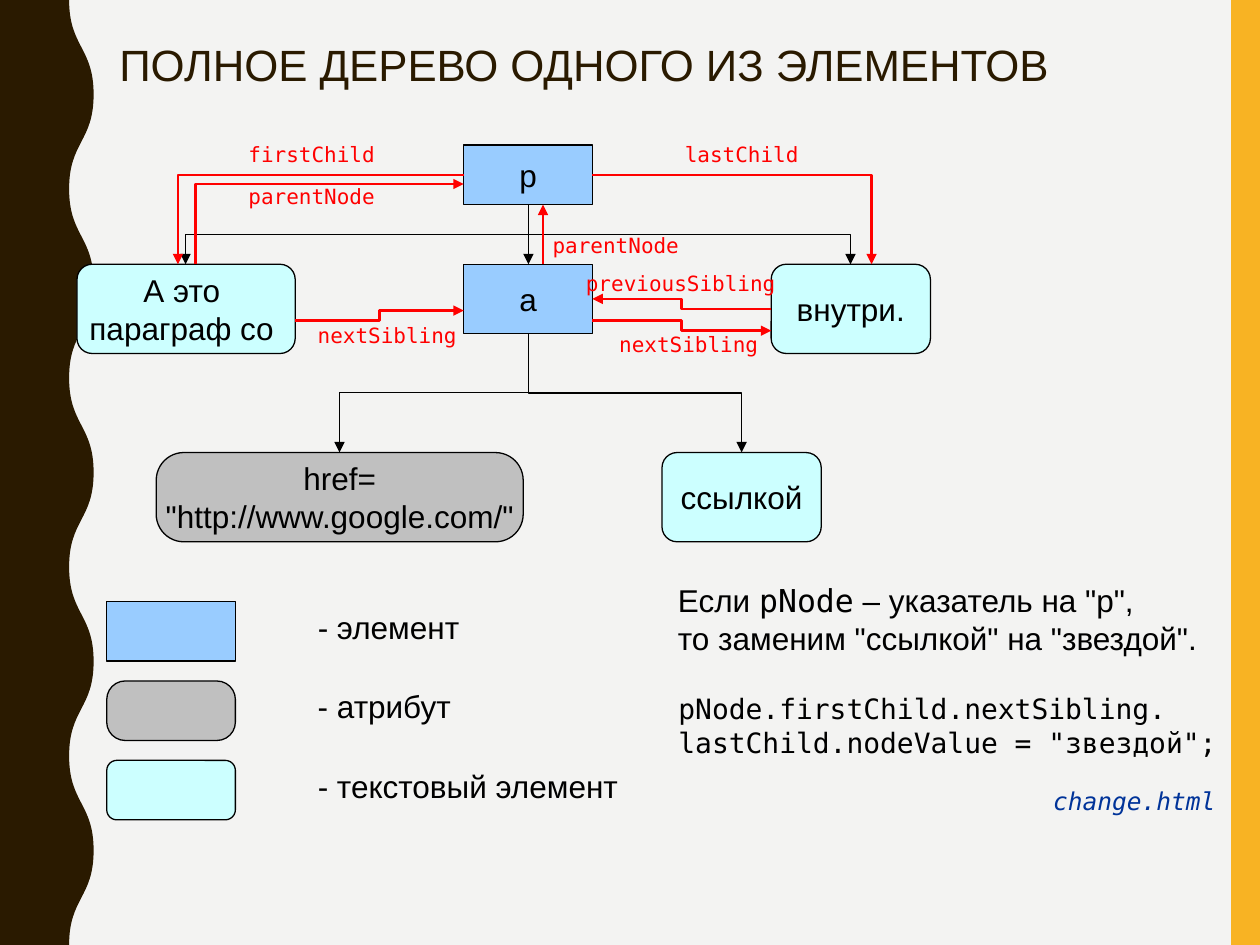
from dataclasses import dataclass

from lxml.etree import SubElement
from pptx import Presentation
from pptx.dml.color import RGBColor
from pptx.enum.shapes import MSO_CONNECTOR, MSO_SHAPE
from pptx.enum.text import MSO_ANCHOR, MSO_AUTO_SIZE, PP_ALIGN
from pptx.oxml.ns import qn
from pptx.util import Pt


@dataclass(frozen=True)
class Theme:
    background: str = "F3F3F2"
    dark: str = "2A1A00"
    accent: str = "F8B323"
    element: str = "99CCFF"
    attribute: str = "C0C0C0"
    text_node: str = "CCFFFF"
    ink: str = "000000"
    link: str = "FF0000"
    file: str = "003399"
    sans: str = "Arial"
    mono: str = "DejaVu Sans Mono"
    title_size: int = 25
    body_size: int = 18
    code_size: int = 16
    file_size: int = 14
    label_size: int = 12


THEME = Theme()
ROUNDING = {THEME.element: None, THEME.attribute: 0.31, THEME.text_node: 0.17}
BOX_WIDTH, BOX_HEIGHT = 73.5, 34


def set_fill(sp, color):
    sp.fill.solid()
    sp.fill.fore_color.rgb = RGBColor.from_string(color)


def set_font(font, size, color=THEME.ink, name=THEME.sans):
    font.name = name
    font.size = Pt(size)
    font.color.rgb = RGBColor.from_string(color)


def add_side_bar(s):
    sp = s.shapes.add_shape(MSO_SHAPE.RECTANGLE, Pt(703.5), 0, Pt(16.5), Pt(540))
    sp.shadow.inherit = False
    set_fill(sp, THEME.accent)
    sp.line.fill.background()


def add_wave(s):
    """Dark left band whose right edge swings between two x values."""
    inner, outer, half_wave, count = 39.5, 53.5, 54, 10
    xs = [outer if i % 2 else inner for i in range(count + 1)]
    builder = s.shapes.build_freeform(Pt(inner), 0)
    edge = [(Pt(x), Pt(half_wave * i)) for i, x in enumerate(xs)]
    builder.add_line_segments([*edge[1:], (0, Pt(540)), (0, 0)])
    sp = builder.convert_to_shape()
    segments = list(sp._element.spPr.iter(qn("a:lnTo")))[:count]
    for i, segment in enumerate(segments):
        middle = Pt(half_wave * (i + 0.5))
        segment.addprevious(curve_to((edge[i][0], middle), (edge[i + 1][0], middle),
                                     edge[i + 1], segment))
        segment.getparent().remove(segment)
    sp.shadow.inherit = False
    set_fill(sp, THEME.dark)
    sp.line.fill.background()


def curve_to(control_1, control_2, end, sibling):
    curve = SubElement(sibling.getparent(), qn("a:cubicBezTo"))
    for x, y in (control_1, control_2, end):
        SubElement(curve, qn("a:pt"), x=str(int(x)), y=str(int(y)))
    return curve


def add_title(s, text):
    sp = s.shapes.title
    sp.left, sp.top, sp.width, sp.height = Pt(61), Pt(21.3), Pt(648), Pt(44)
    tf = sp.text_frame
    tf.text = text
    tf.auto_size = MSO_AUTO_SIZE.NONE
    tf.vertical_anchor = MSO_ANCHOR.TOP
    p = tf.paragraphs[0]
    p.alignment = PP_ALIGN.LEFT
    p.line_spacing = 0.9
    set_font(p.font, THEME.title_size, THEME.dark)


def add_node(s, color, x, y, width=BOX_WIDTH, height=BOX_HEIGHT, text=""):
    """Box whose outline follows from the kind of node its colour stands for."""
    rounding = ROUNDING[color]
    kind = MSO_SHAPE.ROUNDED_RECTANGLE if rounding else MSO_SHAPE.RECTANGLE
    sp = s.shapes.add_shape(kind, Pt(x), Pt(y), Pt(width), Pt(height))
    if rounding:
        sp.adjustments[0] = rounding
    sp.shadow.inherit = False
    set_fill(sp, color)
    sp.line.color.rgb = RGBColor.from_string(THEME.ink)
    sp.line.width = Pt(0.75)
    if text:
        tf = sp.text_frame
        tf.word_wrap = False
        tf.vertical_anchor = MSO_ANCHOR.MIDDLE
        p = tf.paragraphs[0]
        p.text = text
        p.alignment = PP_ALIGN.CENTER
        set_font(p.font, THEME.body_size)


def add_text(s, x, y, width, height, text, size, color=THEME.ink, name=THEME.sans):
    sp = s.shapes.add_textbox(Pt(x), Pt(y), Pt(width), Pt(height))
    sp.text_frame.word_wrap = False
    p = sp.text_frame.paragraphs[0]
    p.text = text
    set_font(p.font, size, color, name)
    return p


def add_label(s, x, y, text):
    width = 14.4 + 7.22 * len(text)
    add_text(s, x, y, width, 21.5, text, THEME.label_size, THEME.link, THEME.mono)


def add_arrow(s, start, end, color=THEME.ink, width=0.75, preset="line", upright=False):
    """Arrow from start to end; an upright one leaves its start vertically."""
    (x1, y1), (x2, y2) = start, end
    if upright:
        cx, cy = (x1 + x2) / 2, (y1 + y2) / 2
        x1, y1, x2, y2 = cx + y1 - cy, cy - x1 + cx, cx + y2 - cy, cy - x2 + cx
    kind = MSO_CONNECTOR.STRAIGHT if preset == "line" else MSO_CONNECTOR.ELBOW
    line = s.shapes.add_connector(kind, Pt(x1), Pt(y1), Pt(x2), Pt(y2))
    line.line.color.rgb = RGBColor.from_string(color)
    line.line.width = Pt(width)
    sp_pr = line._element.spPr
    sp_pr.find(qn("a:prstGeom")).set("prst", preset)
    if upright:
        sp_pr.find(qn("a:xfrm")).set("rot", str(90 * 60000))
    SubElement(sp_pr.find(qn("a:ln")), qn("a:tailEnd"), type="triangle")
    SubElement(sp_pr, qn("a:effectLst"))


def add_tree(s):
    nodes = [
        (THEME.element, 265, 82.8, BOX_WIDTH, BOX_HEIGHT, "p"),
        (THEME.element, 265, 151, BOX_WIDTH, 39.5, "a"),
        (THEME.text_node, 44, 151, 124.7, 51, "А это \nпараграф со "),
        (THEME.text_node, 440.7, 151, 91, 51, "внутри."),
        (THEME.text_node, 378.3, 258.6, 91, 51, "ссылкой"),
        (THEME.attribute, 89.3, 258.6, 209.7, 51, 'href=\n"http://www.google.com/"'),
    ]
    for node in nodes:
        add_node(s, *node)
    add_arrow(s, (302, 117), (302, 151))
    branches = [(117, 106, 151), (117, 486, 151), (190.5, 194, 258.5), (190.5, 423.8, 258.5)]
    for top, x, bottom in branches:
        add_arrow(s, (302, top), (x, bottom), preset="bentConnector3", upright=True)


def add_links(s):
    links = [
        ((265, 100), (101.7, 151), "bentConnector2", False),
        ((111.7, 151), (265, 105.2), "bentConnector2", True),
        ((310.3, 151), (310.3, 117), "line", False),
        ((168.7, 183.2), (265, 177.5), "bentConnector3", False),
        ((338.5, 183), (440.7, 189), "bentConnector3", False),
        ((440.7, 176.6), (338.5, 170.8), "bentConnector3", False),
        ((338.5, 100), (498, 151), "bentConnector2", False),
    ]
    for start, end, preset, upright in links:
        add_arrow(s, start, end, THEME.link, 1.5, preset, upright)
    labels = [
        (134.9, 77.4, "firstChild"), (134.9, 101.4, "parentNode"),
        (308.7, 129.5, "parentNode"), (174.5, 180.7, "nextSibling"),
        (346.8, 185.9, "nextSibling"), (327.7, 151, "previousSibling"),
        (384.3, 77.4, "lastChild"),
    ]
    for label in labels:
        add_label(s, *label)


def add_legend(s):
    entries = [(THEME.element, "- элемент", 96), (THEME.attribute, "- атрибут", 91.5),
               (THEME.text_node, "- текстовый элемент", 186.5)]
    for i, (color, text, width) in enumerate(entries):
        y = 343.8 + 45.35 * i
        add_node(s, color, 61, y)
        add_text(s, 174.5, y, width, 29, text, THEME.body_size)


def add_example(s):
    p = add_text(s, 380.3, 328.5, 312, 50.5, "Если ", THEME.body_size)
    r = p.add_run()
    r.text = "pNode"
    r.font.name = THEME.mono
    p.add_run().text = ' – указатель на "p",'
    p.add_line_break()
    p.add_run().text = 'то заменим "ссылкой" на "звездой".'
    code = 'pNode.firstChild.nextSibling.\nlastChild.nodeValue = "звездой";'
    add_text(s, 380.6, 391.8, 322, 46, code, THEME.code_size, name=THEME.mono)
    p = add_text(s, 594.7, 445.9, 107.5, 24.5, "change.html", THEME.file_size,
                 THEME.file, THEME.mono)
    p.font.italic = True


def main():
    prs = Presentation()
    prs.slide_width, prs.slide_height = Pt(720), Pt(540)
    s = prs.slides.add_slide(prs.slide_layouts.get_by_name("Title Only"))
    set_fill(s.background, THEME.background)
    add_side_bar(s)
    add_wave(s)
    add_title(s, "ПОЛНОЕ ДЕРЕВО ОДНОГО ИЗ ЭЛЕМЕНТОВ")
    add_tree(s)
    add_legend(s)
    add_links(s)
    add_example(s)
    prs.save("out.pptx")


if __name__ == "__main__":
    main()
